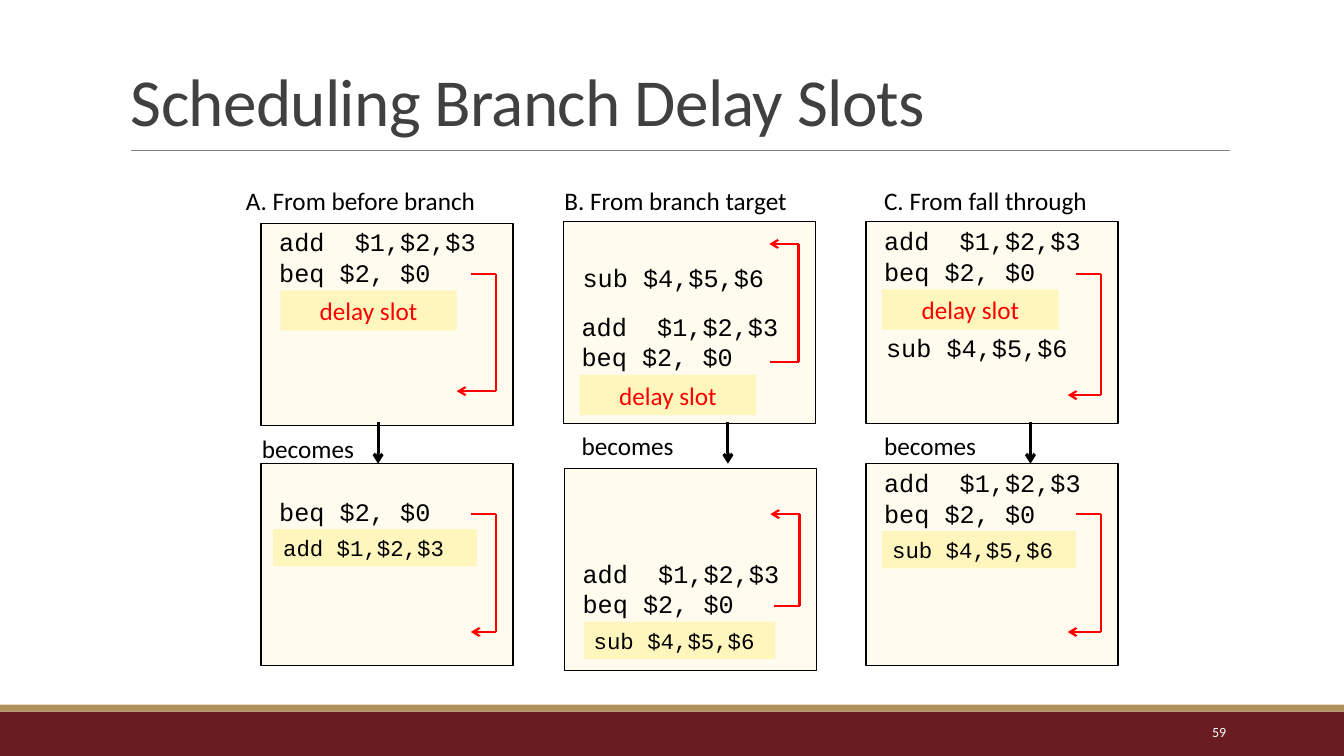
import dataclasses
import itertools

import lxml.etree
import pptx
import pptx.dml.color
import pptx.enum.shapes
import pptx.enum.text
import pptx.oxml.ns
import pptx.util

RGBColor = pptx.dml.color.RGBColor
ALIGN = pptx.enum.text.PP_ALIGN
ANCHOR = pptx.enum.text.MSO_ANCHOR

PX = 9144  # EMU in one px, 100 px to the inch
SLIDE_WIDTH, SLIDE_HEIGHT = 1333, 750
PANEL_WIDTH, PANEL_HEIGHT = 250, 200
LINE_HEIGHT = 30
TEXT_PADDING = 10
BRACKET_BEND = 233

BLACK = RGBColor(0x00, 0x00, 0x00)
WHITE = RGBColor(0xFF, 0xFF, 0xFF)
RED = RGBColor(0xFF, 0x00, 0x00)
TITLE_GREY = RGBColor(0x40, 0x40, 0x40)
RULE_GREY = RGBColor(0x80, 0x80, 0x80)
MAROON = RGBColor(0x69, 0x1D, 0x20)
GOLD = RGBColor(0xB1, 0x91, 0x5A)
CREAM = RGBColor(0xFF, 0xFB, 0xEF)
SLOT_YELLOW = RGBColor(0xFF, 0xF6, 0xBE)

SANS, MONO = "Calibri", "Courier New"
ADD, BRANCH, SUB = "add  $1,$2,$3", "beq $2, $0", "sub $4,$5,$6"


@dataclasses.dataclass
class Panel:
    """A code box; every place but left and top is relative to its corner."""
    left: int
    top: int
    code: list     # (left, top, lines)
    slot: tuple    # left, top, width
    bracket: tuple  # start x, start y, end x, end y
    filler: str = ""  # instruction in the slot; empty while it is unfilled


@dataclasses.dataclass
class Column:
    caption: str
    caption_left: int
    becomes: tuple  # left, top
    arrow_x: int
    before: Panel
    after: Panel


COLUMNS = [
    Column("A. From before branch", 234, (250, 425), 375,
           Panel(259, 222, [(8, -2, [ADD, BRANCH])],
                 (19, 66, 175), (208, 50, 194, 166)),
           Panel(259, 460, [(8, 27, [BRANCH])],
                 (12, 65, 202), (208, 50, 208, 167), "add $1,$2,$3")),
    Column("B. From branch target", 550, (567, 422), 722,
           Panel(559, 220, [(9, 35, [SUB]), (8, 84, [ADD, BRANCH])],
                 (16, 152, 175), (205, 139, 204, 22)),
           Panel(560, 465, [(8, 84, [ADD, BRANCH])],
                 (19, 152, 190), (208, 136, 204, 45), SUB)),
    Column("C. From fall through", 867, (867, 422), 1022,
           Panel(859, 220, [(8, -1, [ADD, BRANCH]), (10, 105, [SUB])],
                 (16, 67, 175), (208, 52, 200, 172)),
           Panel(859, 460, [(8, -1, [ADD, BRANCH])],
                 (16, 67, 192), (208, 50, 200, 167), SUB)),
]


def write(shape, lines, size, color, font=SANS, align=ALIGN.LEFT, anchor=ANCHOR.TOP):
    frame = shape.text_frame
    frame.word_wrap = True
    frame.vertical_anchor = anchor
    frame.text = "\n".join(lines)
    for paragraph in frame.paragraphs:
        paragraph.alignment = align
        paragraph.font.name = font
        paragraph.font.size = pptx.util.Pt(size)
        paragraph.font.color.rgb = color


def add_text(slide, left, top, width, height, lines, size, color, **style):
    box = slide.shapes.add_textbox(left * PX, top * PX, width * PX, height * PX)
    write(box, lines, size, color, **style)
    return box


def add_rectangle(slide, left, top, width, height, fill, line=None):
    shape = slide.shapes.add_shape(
        pptx.enum.shapes.MSO_SHAPE.RECTANGLE,
        left * PX, top * PX, width * PX, height * PX)
    shape.shadow.inherit = False
    shape.fill.solid()
    shape.fill.fore_color.rgb = fill
    if line is None:
        shape.line.fill.background()
    else:
        shape.line.color.rgb = line
        shape.line.width = pptx.util.Pt(1)
    return shape


def add_line(slide, start, end, color, width, arrow=False):
    connector = slide.shapes.add_connector(
        pptx.enum.shapes.MSO_CONNECTOR.STRAIGHT,
        *(length * PX for length in (*start, *end)))
    connector.line.color.rgb = color
    connector.line.width = pptx.util.Pt(width)
    if arrow:
        lxml.etree.SubElement(connector.line._get_or_add_ln(),
                              pptx.oxml.ns.qn("a:tailEnd"), type="arrow")
    lxml.etree.SubElement(connector._element.spPr, pptx.oxml.ns.qn("a:effectLst"))


def add_footer(slide, top, height):
    add_rectangle(slide, 0, top, SLIDE_WIDTH, height, MAROON)
    add_rectangle(slide, 0, top - 7, SLIDE_WIDTH, 7, GOLD)
    add_text(slide, 1083, top, 143, 40, ["59"], 10, WHITE,
             align=ALIGN.RIGHT, anchor=ANCHOR.MIDDLE)


def add_title(slide, left, top, width, height):
    add_line(slide, (left + TEXT_PADDING, top + height + 5),
             (left + width, top + height + 5), RULE_GREY, 0.5)
    title = add_text(slide, left, top, width, height, ["Scheduling Branch Delay Slots"],
                     48, TITLE_GREY, anchor=ANCHOR.BOTTOM)
    paragraph = title.text_frame.paragraphs[0]
    paragraph.line_spacing = 0.85
    paragraph.runs[0].font._element.set("spc", "-50")


def add_panel(slide, panel):
    left, top = panel.left, panel.top
    add_rectangle(slide, left, top, PANEL_WIDTH, PANEL_HEIGHT, CREAM, BLACK)
    for code_left, code_top, lines in panel.code:
        add_text(slide, left + code_left, top + code_top, 225,
                 len(lines) * LINE_HEIGHT + TEXT_PADDING, lines, 18, BLACK, font=MONO)

    slot_left, slot_top, slot_width = panel.slot
    slot = add_rectangle(slide, left + slot_left, top + slot_top, slot_width,
                         37 if panel.filler else 40, SLOT_YELLOW)
    if panel.filler:
        write(slot, [panel.filler], 16, BLACK, font=MONO)
    else:
        write(slot, ["delay slot"], 18, RED, align=ALIGN.CENTER)

    start_x, start_y, end_x, end_y = panel.bracket
    corners = [(left + x, top + y) for x, y in (
        (start_x, start_y), (BRACKET_BEND, start_y), (BRACKET_BEND, end_y), (end_x, end_y))]
    for start, end in itertools.pairwise(corners):
        add_line(slide, start, end, RED, 1.5, arrow=end == corners[-1])


def add_column(slide, column, top):
    add_text(slide, column.caption_left, top, 310, 40, [column.caption], 18, BLACK)
    add_panel(slide, column.before)
    add_line(slide, (column.arrow_x, top + 240), (column.arrow_x, top + 281),
             BLACK, 2.25, arrow=True)
    add_text(slide, *column.becomes, 155, 40, ["becomes"], 18, BLACK)
    add_panel(slide, column.after)


def main():
    presentation = pptx.Presentation()
    presentation.slide_width = SLIDE_WIDTH * PX
    presentation.slide_height = SLIDE_HEIGHT * PX
    slide = presentation.slides.add_slide(presentation.slide_layouts[6])
    add_footer(slide, 706, 44)
    add_title(slide, 120, 31, 1100, 113)
    for column in COLUMNS:
        add_column(slide, column, 179)
    presentation.save("out.pptx")


if __name__ == "__main__":
    main()
